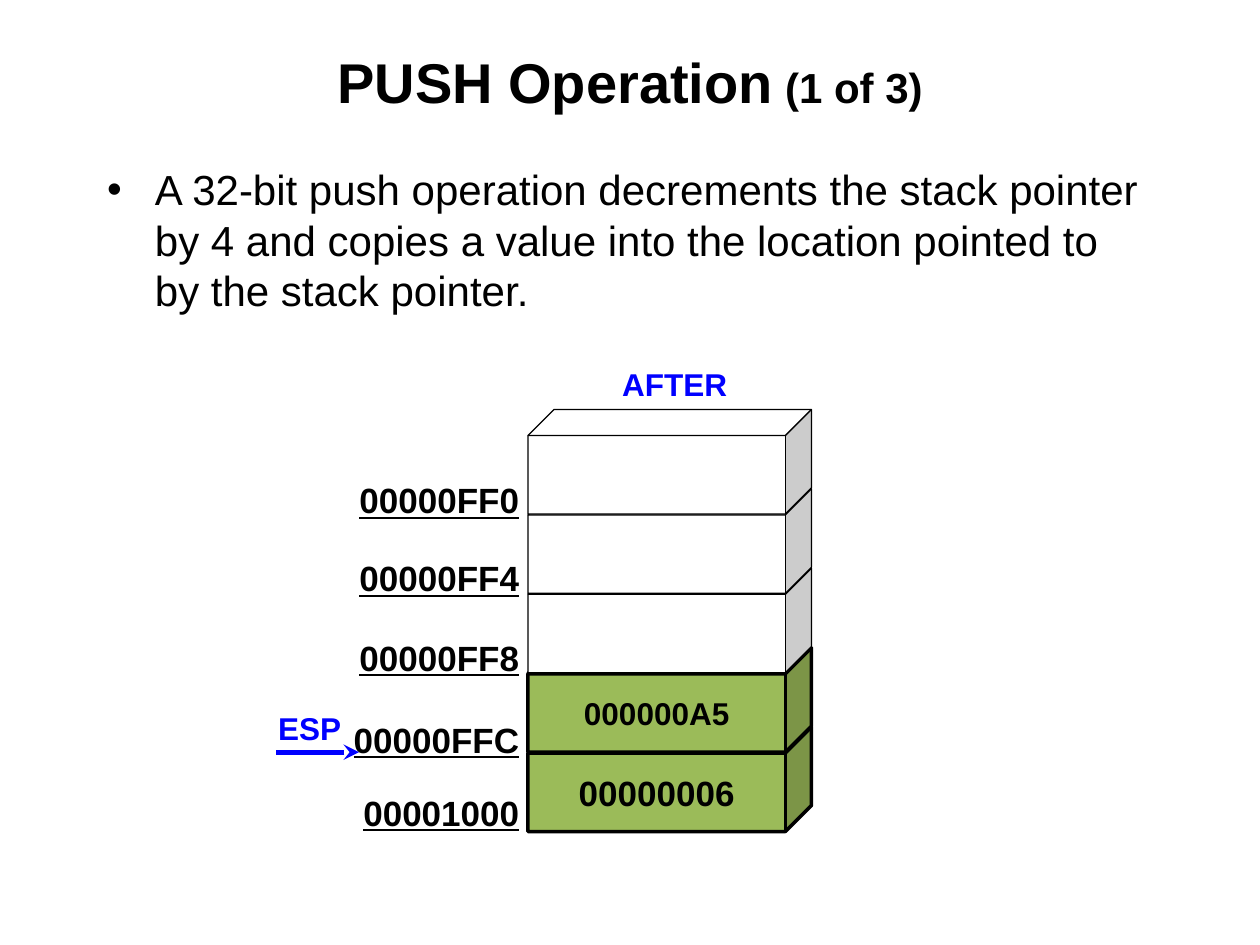
from lxml.etree import SubElement
from pptx import Presentation
from pptx.dml.color import RGBColor
from pptx.enum.shapes import MSO_CONNECTOR as Connector, MSO_SHAPE as Shape
from pptx.enum.text import MSO_ANCHOR as Anchor, MSO_AUTO_SIZE as AutoSize, PP_ALIGN as Align
from pptx.oxml.ns import qn
from pptx.util import Inches, Pt

BLACK, WHITE, BLUE, GREEN = "000000", "FFFFFF", "0000FF", "9BBB59"
CELL_LEFT, CELL_TOP, CELL_STEP = 4.19, 3.25, 0.63
CELL_WIDTH, CELL_HEIGHT = 2.25, 0.83

# address, top of its label, stored value, size of the value
STACK = [
    ("00000FF0", 3.75, "", 18),
    ("00000FF4", 4.37, "", 18),
    ("00000FF8", 5.0, "", 18),
    ("00000FFC", 5.65, "000000A5", 18),
    ("00001000", 6.23, "00000006", 20),
]


def color(hex_code):
    return RGBColor.from_string(hex_code)


def add_text(paragraph, text, size=20, fill=BLACK, bold=True, underline=None):
    run = paragraph.add_run()
    run.text = text
    font = run.font
    font.name, font.size, font.bold, font.underline = "Arial", Pt(size), bold, underline
    font.color.rgb = color(fill)


def place(shape, left, top, width, height):
    shape.left, shape.top = Inches(left), Inches(top)
    shape.width, shape.height = Inches(width), Inches(height)


def fill_title(title):
    place(title, 0.5, 0.17, 9, 0.95)
    title.text_frame.auto_size = AutoSize.NONE
    title.text_frame.vertical_anchor = Anchor.MIDDLE
    heading = title.text_frame.paragraphs[0]
    heading.alignment = Align.CENTER
    add_text(heading, "PUSH Operation", size=32)
    add_text(heading, " (1 of 3)", size=24)


def fill_body(body):
    place(body, 0.75, 1.25, 8.5, 1.42)
    body.text_frame.auto_size = AutoSize.NONE
    bullet = body.text_frame.paragraphs[0]
    properties = bullet._p.get_or_add_pPr()
    properties.set("marL", str(Inches(0.38)))
    properties.set("indent", str(-Inches(0.38)))
    SubElement(properties, qn("a:buChar"), char="•")
    bullet.space_before = Pt(0)
    add_text(bullet, "A 32-bit push operation decrements the stack pointer by 4 and copies "
             "a value into the location pointed to by the stack pointer.", size=24, bold=False)


def add_cell(slide, top, value, size):
    cell = slide.shapes.add_shape(Shape.CUBE, Inches(CELL_LEFT), Inches(top),
                                  Inches(CELL_WIDTH), Inches(CELL_HEIGHT))
    cell.shadow.inherit = False
    cell.fill.solid()
    cell.fill.fore_color.rgb = color(GREEN if value else WHITE)
    cell.line.color.rgb = color(BLACK)
    cell.line.width = Pt(2 if value else 0.75)
    if value:
        cell.text_frame.vertical_anchor = Anchor.MIDDLE
        content = cell.text_frame.paragraphs[0]
        content.alignment = Align.CENTER
        add_text(content, value, size=size)


def add_label(slide, text, left, top, width, height, align=Align.LEFT, wrap=False, **text_format):
    label = slide.shapes.add_textbox(Inches(left), Inches(top), Inches(width), Inches(height))
    label.text_frame.word_wrap = wrap
    label.text_frame.auto_size = AutoSize.SHAPE_TO_FIT_TEXT
    paragraph = label.text_frame.paragraphs[0]
    paragraph.alignment = align
    add_text(paragraph, text, **text_format)


def add_pointer(slide, tip, tail, y):
    """Draw a blue arrow whose head is at its starting point."""
    pointer = slide.shapes.add_connector(Connector.STRAIGHT, Inches(tip), Inches(y),
                                         Inches(tail), Inches(y))
    pointer.line.color.rgb = color(BLUE)
    pointer.line.width = Pt(3)
    SubElement(pointer.line._get_or_add_ln(), qn("a:headEnd"), type="stealth")
    SubElement(pointer._element.spPr, qn("a:effectLst"))


def main():
    deck = Presentation()
    deck.slide_width, deck.slide_height = Inches(10), Inches(7.5)
    slide = deck.slides.add_slide(deck.slide_layouts[1])
    fill_title(slide.shapes.title)
    fill_body(slide.placeholders[1])

    # Lower cells go first, so that each cell covers the top face of the one below.
    for row, (_, _, value, size) in reversed(list(enumerate(STACK))):
        add_cell(slide, CELL_TOP + row * CELL_STEP, value, size)
    for address, top, _, _ in reversed(STACK):
        add_label(slide, address, 2.61, top, 1.61, 0.44,
                  align=Align.RIGHT, wrap=True, underline=True)

    add_pointer(slide, tip=2.85, tail=2.19, y=5.97)
    add_label(slide, "ESP", 2.11, 5.58, 0.7, 0.4, size=18, fill=BLUE)
    add_label(slide, "AFTER", 4.84, 2.85, 1.04, 0.4, size=18, fill=BLUE)
    deck.save("out.pptx")


if __name__ == "__main__":
    main()
